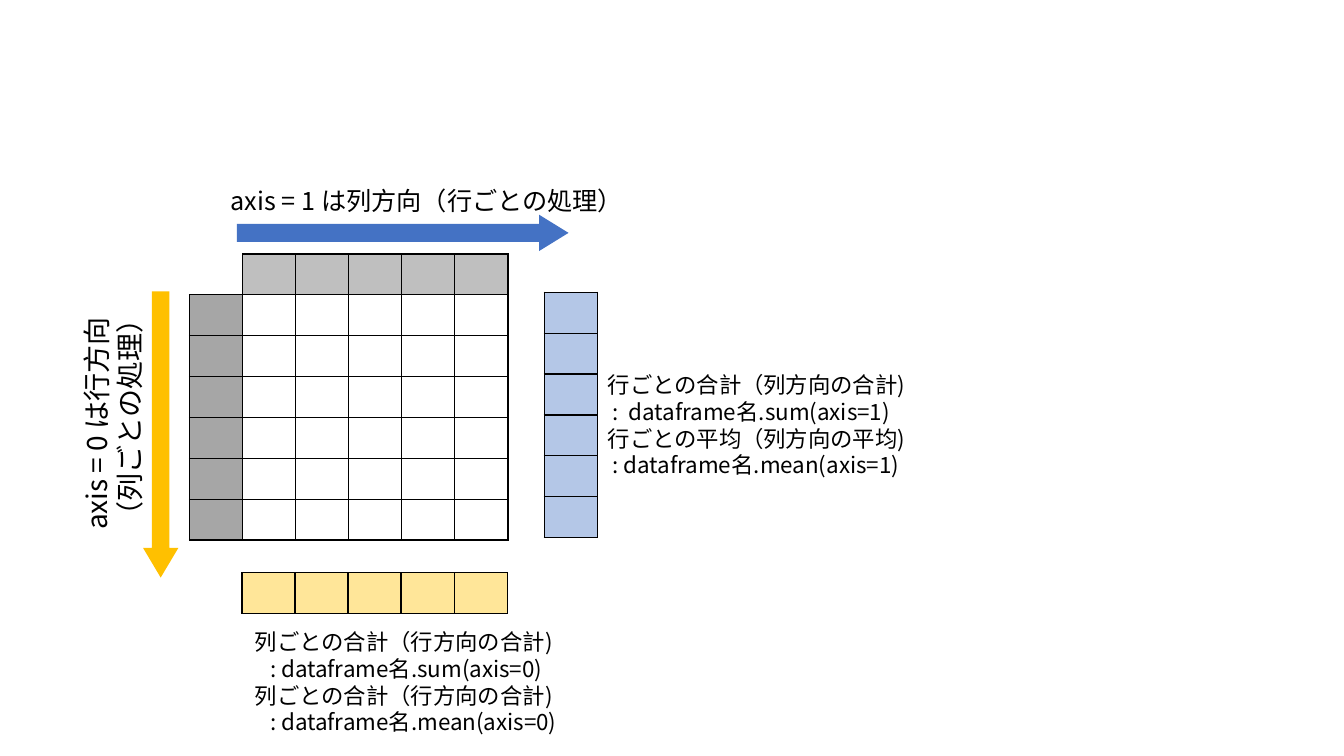
from lxml import etree
from pptx import Presentation
from pptx.dml.color import RGBColor
from pptx.enum.shapes import MSO_SHAPE as Shape
from pptx.enum.text import MSO_AUTO_SIZE as AutoSize
from pptx.oxml.ns import qn
from pptx.util import Pt

FONT = "Noto Sans CJK JP"
BLACK, BLUE, GOLD = "000000", "4472C4", "FFC000"
HEADER_GREY, INDEX_GREY = "BFBFBF", "A6A6A6"
PALE_BLUE, PALE_GOLD = "B4C7E7", "FFE699"
CELL_WIDTH, CELL_HEIGHT = 37.9, 29.2
LINE_SPACING = 1.2


def color(hex_value):
    return RGBColor.from_string(hex_value)


def add_label(slide, box, lines, size, wrap=False, rotation=0):
    """Add a text box; each line is a pair of left indent and wording."""
    label = slide.shapes.add_textbox(*map(Pt, box))
    label.rotation = rotation
    frame = label.text_frame
    frame.word_wrap = wrap
    frame.auto_size = AutoSize.SHAPE_TO_FIT_TEXT
    for number, (indent, wording) in enumerate(lines):
        paragraph = frame.paragraphs[0] if number == 0 else frame.add_paragraph()
        paragraph.line_spacing = Pt(size * LINE_SPACING)
        if indent:
            properties = paragraph._p.get_or_add_pPr()
            properties.set("marL", str(Pt(indent)))
            properties.set("indent", "0")
        run = paragraph.add_run()
        run.text = wording
        for name, value in {"name": FONT, "size": Pt(size)}.items():
            setattr(run.font, name, value)
        run.font.color.rgb = color(BLACK)
        east_asian = etree.SubElement(run.font._element, qn("a:ea"))
        east_asian.set("typeface", FONT)


def add_arrow(slide, kind, box, head_length, fill):
    arrow = slide.shapes.add_shape(kind, *map(Pt, box))
    arrow.shadow.inherit = False
    arrow.adjustments[0] = 0.5
    arrow.adjustments[1] = head_length
    arrow.fill.solid()
    arrow.fill.fore_color.rgb = color(fill)
    arrow.line.fill.background()


def set_borders(cell, visible_sides):
    properties = cell._tc.get_or_add_tcPr()
    for side in "LRTB":
        border = etree.SubElement(properties, qn(f"a:ln{side}"), w=str(Pt(1)))
        if side in visible_sides:
            fill = etree.SubElement(border, qn("a:solidFill"))
            etree.SubElement(fill, qn("a:srgbClr"), val=BLACK)
        else:
            etree.SubElement(border, qn("a:noFill"))


def add_grid(slide, left, top, fills, open_corner=False):
    """Add a table of empty cells, one per entry in the rows of fills."""
    rows, columns = len(fills), len(fills[0])
    grid = slide.shapes.add_table(
        rows, columns, Pt(left), Pt(top),
        Pt(columns * CELL_WIDTH), Pt(rows * CELL_HEIGHT)).table
    grid.first_row = grid.horz_banding = False
    for column in grid.columns:
        column.width = Pt(CELL_WIDTH)
    for r, row in enumerate(grid.rows):
        row.height = Pt(CELL_HEIGHT)
        for c, cell in enumerate(row.cells):
            cell.margin_top = cell.margin_bottom = 0
            set_borders(cell, "RB" if open_corner and r == c == 0 else "LRTB")
            if fills[r][c]:
                cell.fill.solid()
                cell.fill.fore_color.rgb = color(fills[r][c])
            else:
                cell.fill.background()


def main():
    presentation = Presentation()
    presentation.slide_width, presentation.slide_height = Pt(960), Pt(540)
    slide = presentation.slides.add_slide(presentation.slide_layouts[6])

    add_label(slide, (-10.8, 266.4, 182.9, 55.4),
              [(0, "axis = 0 は行方向"), (0, "（列ごとの処理）")], 20, rotation=270)
    dataframe = [[None] + [HEADER_GREY] * 5] + [[INDEX_GREY] + [None] * 5] * 6
    add_grid(slide, 135.4, 181.4, dataframe, open_corner=True)
    add_arrow(slide, Shape.RIGHT_ARROW, (169.2, 153.4, 236.9, 25.9), 0.81, BLUE)
    add_label(slide, (157.7, 128.9, 311.8, 28.8),
              [(0, "axis = 1 は列方向（行ごとの処理）")], 18)
    add_arrow(slide, Shape.DOWN_ARROW, (102.2, 208.1, 25.2, 204.5), 0.84, GOLD)

    add_grid(slide, 388.8, 208.8, [[PALE_BLUE]] * 6)
    add_label(slide, (175, 445, 293.8, 85), [
        (0, "列ごとの合計（行方向の合計)"),
        (10.8, ": dataframe名.sum(axis=0)"),
        (0, "列ごとの合計（行方向の合計)"),
        (10.8, ": dataframe名.mean(axis=0)"),
    ], 16, wrap=True)
    add_label(slide, (427, 261.4, 247, 85), [
        (0, "行ごとの合計（列方向の合計)"),
        (3.6, ":  dataframe名.sum(axis=1)"),
        (0, "行ごとの平均（列方向の平均)"),
        (3.6, ": dataframe名.mean(axis=1)"),
    ], 16)
    add_grid(slide, 172.8, 409, [[PALE_GOLD] * 5])

    presentation.save("out.pptx")


if __name__ == "__main__":
    main()
